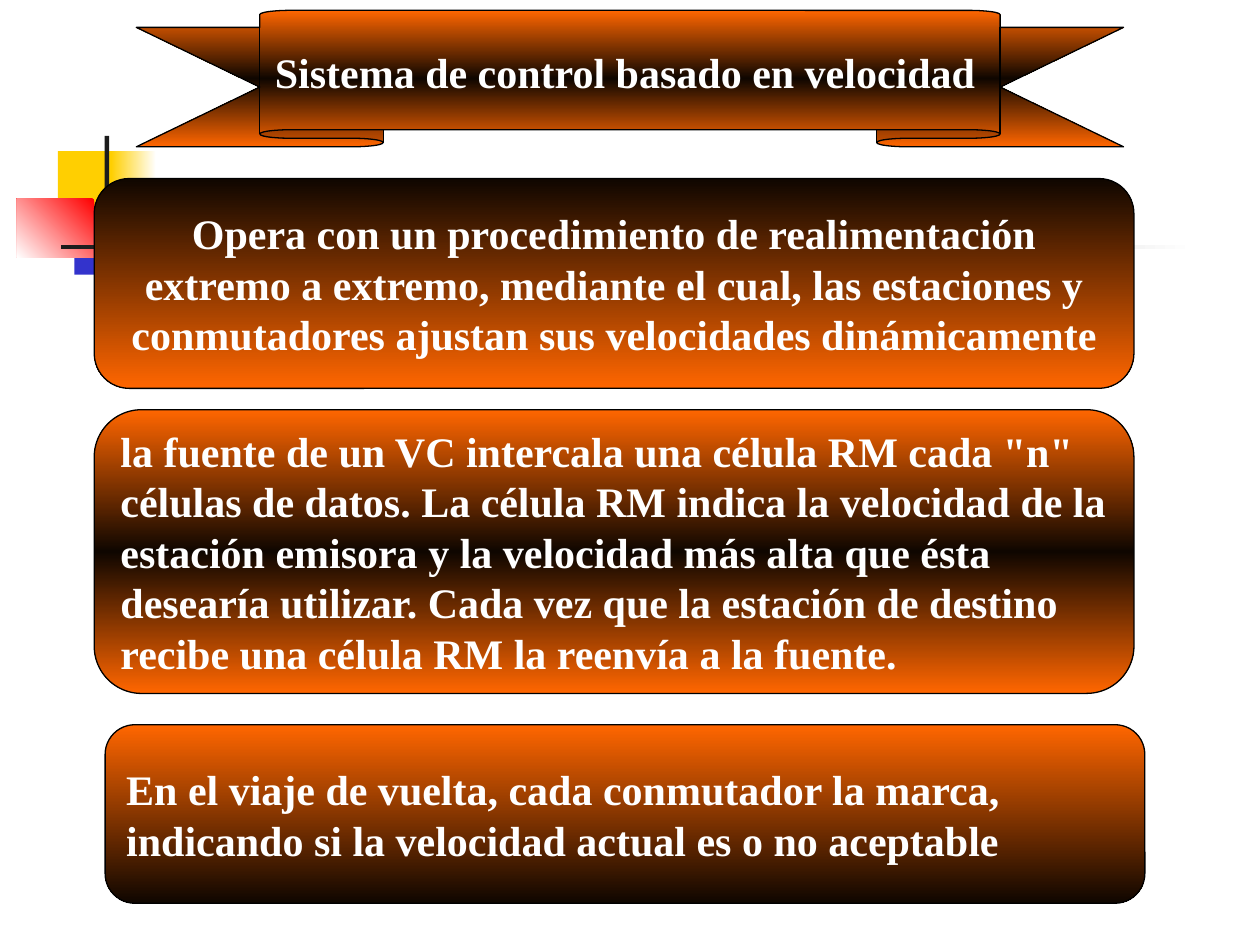
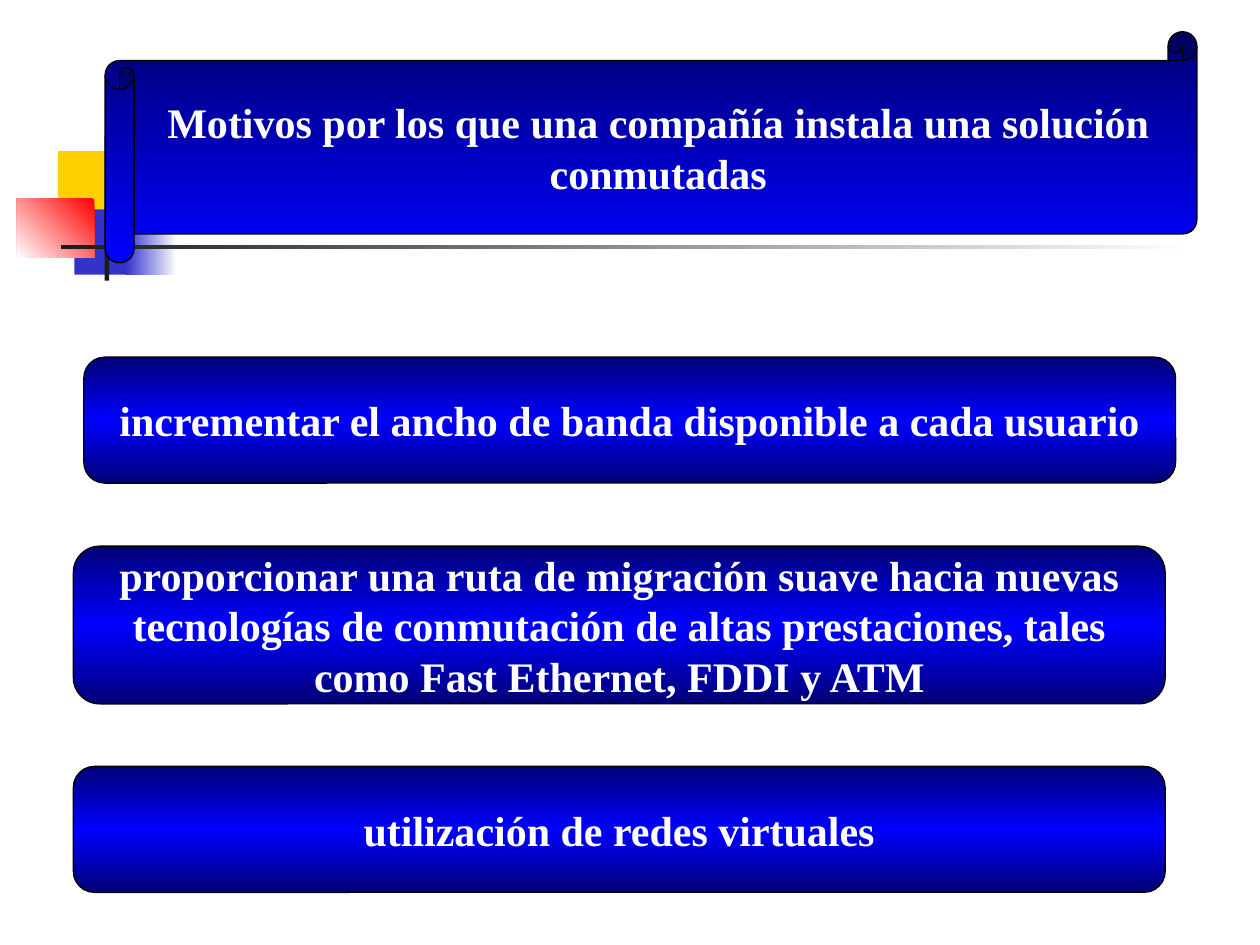
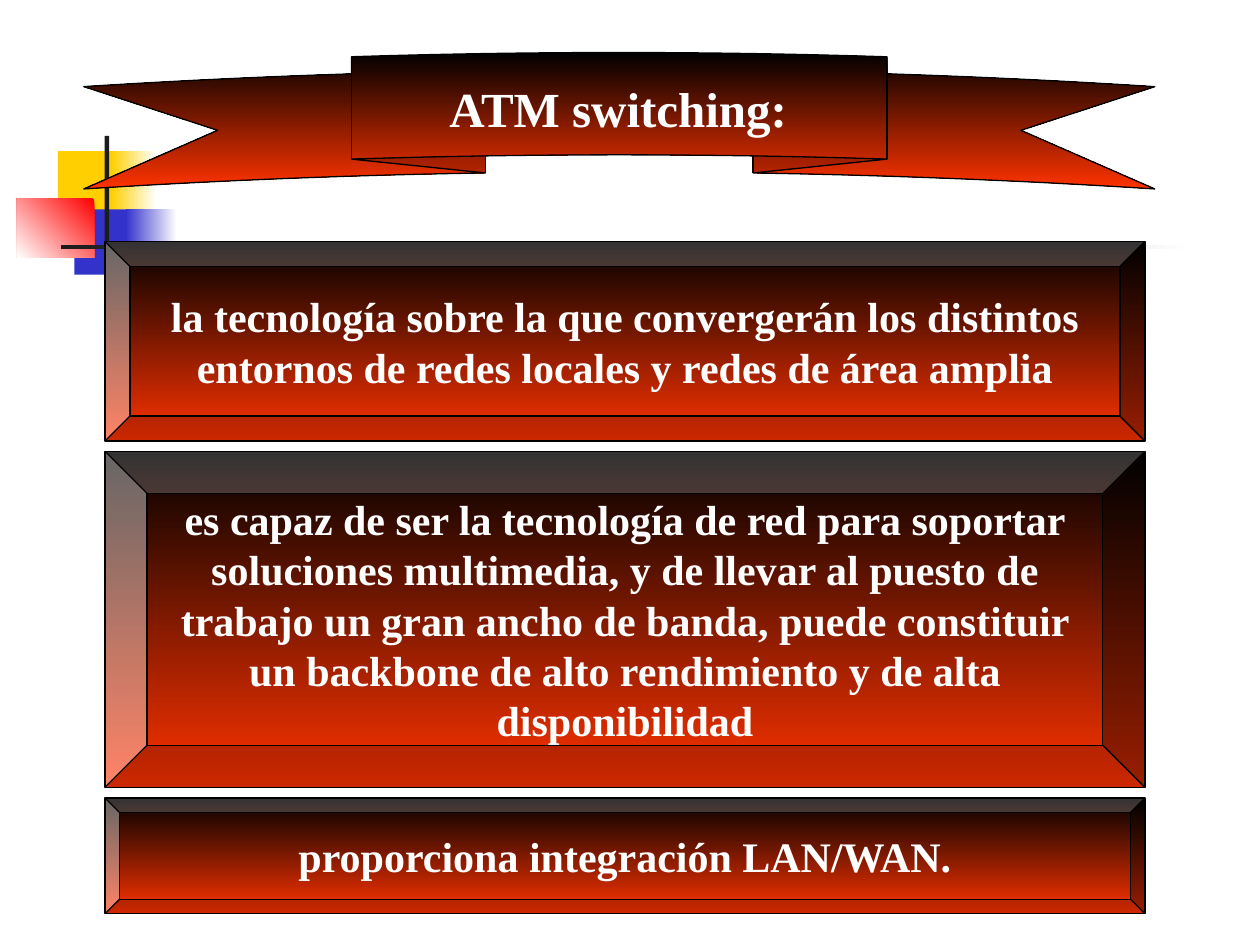
from lxml import etree
from pptx import Presentation
from pptx import util as u
from pptx.dml.color import RGBColor
from pptx.enum import shapes, text
from pptx.oxml.ns import qn

FONT = "Times New Roman"
COLORS = {
    "white": "FFFFFF", "black": "000000", "bar": "1C1C1C",
    "yellow": "FFCF01", "violet": "3333CC", "red": "FF0000",
    "orange": "FF6600", "ember": "0F0600",
    "blue": "0000FF", "navy": "000075", "flame": "FF3300",
}
G = shapes.MSO_SHAPE
CENTER, LEFT = text.PP_ALIGN.CENTER, text.PP_ALIGN.LEFT

# Corner motif: left, top, width, height (cm), colours, gradient angle
MOTIF = [
    ((1.17, 3.05, 1.22, 1.32), ["yellow"], 0),
    ((2.24, 3.05, 0.91, 1.32), ["white", "yellow"], 180),
    ((1.5, 4.22, 1.17, 1.32), ["violet"], 0),
    ((2.54, 4.22, 1.02, 1.32), ["white", "violet"], 180),
    ((0.34, 4.01, 1.56, 1.18), ["red", "white"], 135),
    ((2.11, 2.74, 0.09, 2.92), ["bar"], 0),
    ((1.23, 4.94, 22.86, 0.09), ["white", "bar"], 180),
]

EMBER_CORE = ["orange", "ember", "orange"]
BLUE_CORE = ["navy", "blue", "navy"]
FIRE = ["black", "flame"]

# Each panel: box (cm), colours from top to bottom, alignment, wording
SLIDES = [
    {
        "title": "Sistema de control basado en velocidad",
        "title_box": (4.6, 0.25, 16, 2.41), "title_size": 24,
        "banner": (G.UP_RIBBON, (2.75, 0.21, 19.9, 2.75), EMBER_CORE, (0.125, 0.75)),
        "panel_shape": G.ROUNDED_RECTANGLE,
        "panels": [
            ((1.9, 3.6, 20.96, 4.23), ["ember", "orange"], CENTER,
             "Opera con un procedimiento de realimentación extremo a extremo, "
             "mediante el cual, las estaciones y conmutadores ajustan sus "
             "velocidades dinámicamente"),
            ((1.9, 8.26, 20.96, 5.72), EMBER_CORE, LEFT,
             'la fuente de un VC intercala una célula RM cada "n" células de '
             "datos. La célula RM indica la velocidad de la estación emisora y "
             "la velocidad más alta que ésta desearía utilizar. Cada vez que la "
             "estación de destino recibe una célula RM la reenvía a la fuente."),
            ((2.12, 14.61, 20.96, 3.6), ["orange", "ember"], LEFT,
             "En el viaje de vuelta, cada conmutador la marca, indicando si la "
             "velocidad actual es o no aceptable"),
        ],
    },
    {
        "title": "Motivos por los que una compañía instala una solución conmutadas",
        "title_box": (2.69, 1.22, 21.16, 3.5), "title_size": 24,
        "banner": (G.HORIZONTAL_SCROLL, (2.12, 0.64, 22.01, 4.66), ["navy", "blue"], (0.125,)),
        "panel_shape": G.ROUNDED_RECTANGLE,
        "panels": [
            ((1.69, 7.2, 22.01, 2.54), BLUE_CORE, CENTER,
             "incrementar el ancho de banda disponible a cada usuario"),
            ((1.48, 11.01, 22.01, 3.18), BLUE_CORE, CENTER,
             "proporcionar una ruta de migración suave hacia nuevas tecnologías "
             "de conmutación de altas prestaciones, tales como Fast Ethernet, "
             "FDDI y ATM"),
            ((1.48, 15.45, 22.01, 2.54), BLUE_CORE, CENTER,
             "utilización de redes virtuales"),
        ],
    },
    {
        "title": "ATM switching:",
        "title_box": (5.67, 0.95, 13.58, 2.45), "title_size": 28,
        "banner": (G.CURVED_UP_RIBBON, (1.69, 1.06, 21.59, 2.75), FIRE, (0.25, 0.5, 0.125)),
        "panel_shape": G.BEVEL,
        "panels": [
            ((2.12, 4.87, 20.96, 4.02), FIRE, CENTER,
             "la tecnología sobre la que convergerán los distintos entornos de "
             "redes locales y redes de área amplia"),
            ((2.12, 9.1, 20.96, 6.77), FIRE, CENTER,
             "es capaz de ser la tecnología de red para soportar soluciones "
             "multimedia, y de llevar al puesto de trabajo un gran ancho de "
             "banda, puede constituir un backbone de alto rendimiento y de alta "
             "disponibilidad"),
            ((2.12, 16.09, 20.96, 2.33), FIRE, CENTER,
             "proporciona integración LAN/WAN."),
        ],
    },
]


def paint(sp, names, angle):
    """Fill with one colour, or with evenly spaced gradient stops."""
    if len(names) == 1:
        sp.fill.solid()
        sp.fill.fore_color.rgb = RGBColor.from_string(COLORS[names[0]])
        return
    sp.fill.gradient()
    grad = sp.element.spPr.find(qn("a:gradFill"))
    stops = grad.find(qn("a:gsLst"))
    for stop in list(stops):
        stops.remove(stop)
    for i, name in enumerate(names):
        stop = etree.SubElement(stops, qn("a:gs"), pos=str(100000 * i // (len(names) - 1)))
        etree.SubElement(stop, qn("a:srgbClr"), val=COLORS[name])
    lin = grad.find(qn("a:lin"))
    lin.set("ang", str(angle * 60000))
    lin.set("scaled", "0")


def add_block(s, kind, box, names, angle=90, outlined=True):
    sp = s.shapes.add_shape(kind, *map(u.Cm, box))
    sp.shadow.inherit = False
    paint(sp, names, angle)
    if outlined:
        sp.line.color.rgb = RGBColor.from_string(COLORS["black"])
        sp.line.width = u.Pt(0.75)
    else:
        sp.line.fill.background()
    return sp


def write(sp, words, size=24, align=CENTER, spacing=5):
    tf = sp.text_frame
    tf.text = words
    tf.word_wrap = True
    tf.auto_size = text.MSO_AUTO_SIZE.NONE
    tf.vertical_anchor = text.MSO_ANCHOR.MIDDLE
    p = tf.paragraphs[0]
    p.alignment = align
    p.space_before = p.space_after = u.Pt(spacing)
    font = p.runs[0].font
    font.name, font.size, font.bold = FONT, u.Pt(size), True
    font.color.rgb = RGBColor.from_string(COLORS["white"])


def move_motif_to_layout(s, layout):
    """Draw the corner motif once, on the layout every slide uses."""
    for i, (box, names, angle) in enumerate(MOTIF):
        sp = add_block(s, G.RECTANGLE, box, names, angle, outlined=False)
        sp.element.nvSpPr.cNvPr.set("id", str(20 + i))
        layout.shapes.element.append(sp.element)


def build_slide(s, content):
    # Banner with the title on top of it
    kind, box, names, adjustments = content["banner"]
    banner = add_block(s, kind, box, names)
    for i, value in enumerate(adjustments):
        banner.adjustments[i] = value
    title = s.shapes.title
    title.left, title.top, title.width, title.height = map(u.Cm, content["title_box"])
    write(title, content["title"], content["title_size"], spacing=0)
    banner.element.addnext(title.element)

    # Text panels
    for box, names, align, words in content["panels"]:
        write(add_block(s, content["panel_shape"], box, names), words, align=align)


def main():
    prs = Presentation()
    prs.slide_width, prs.slide_height = u.Cm(25.4), u.Cm(19.05)
    layout = prs.slide_layouts[5]
    for i, content in enumerate(SLIDES):
        s = prs.slides.add_slide(layout)
        if i == 0:
            move_motif_to_layout(s, layout)
        build_slide(s, content)
    prs.save("out.pptx")


if __name__ == "__main__":
    main()
